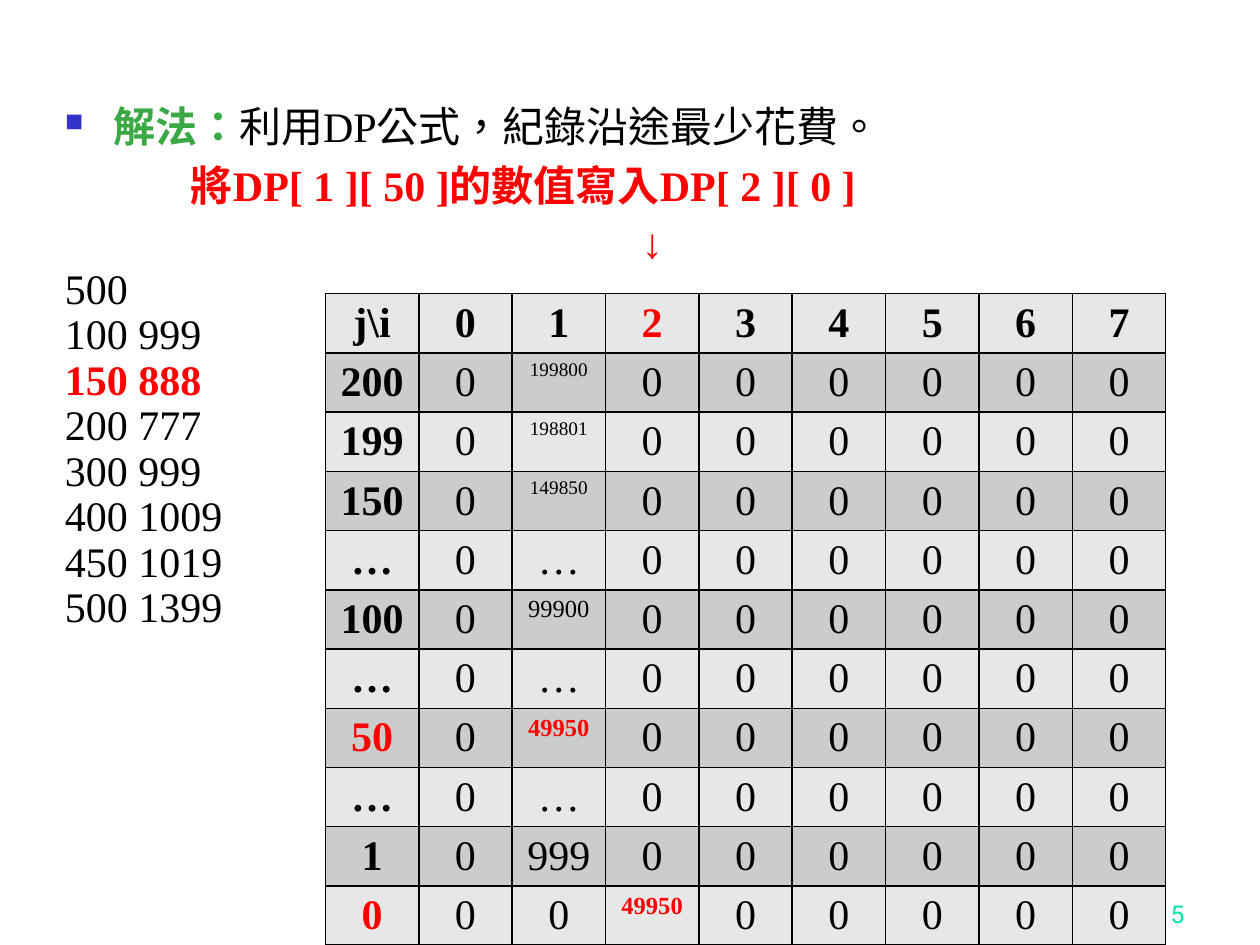
from lxml import etree
from pptx import Presentation
from pptx.dml.color import RGBColor
from pptx.enum.text import MSO_ANCHOR as Anchor, PP_ALIGN as Align
from pptx.oxml.ns import qn
from pptx.util import Cm, Pt

COLORS = {
    "black": "000000", "red": "FF0000", "green": "3BA943", "bullet": "3333CC",
    "number": "00E4A8", "light": "E7E7E7", "dark": "CCCCCC",
}
SERIF = "Times New Roman"

# Each heading line: left indent (cm), space before (pt), runs of (text, color, bold)
HEADING = [
    (0.97, 0, [("解法：", "green", True),
               ("利用DP公式，紀錄沿途最少花費。", "black", False)]),
    (2.54, 4.8, [("將DP[ 1 ][ 50 ]的數值寫入DP[ 2 ][ 0 ]", "red", True)]),
    (11.63, 3.5, [("↓", "red", False)]),
]
INPUT_LINES = ["500", "100 999", "150 888", "200 777", "300 999",
               "400 1009", "450 1019", "500 1399"]
CURRENT_LINE = "150 888"

# Row label and the known costs by column; every other cell is 0
COLUMN_LABELS = ["j\\i"] + [str(item) for item in range(8)]
TABLE_ROWS = [
    ("200", {2: "199800"}), ("199", {2: "198801"}), ("150", {2: "149850"}),
    ("…", {2: "…"}), ("100", {2: "99900"}), ("…", {2: "…"}),
    ("50", {2: "49950"}), ("…", {2: "…"}), ("1", {2: "999"}), ("0", {3: "49950"}),
]
RED_CELLS = {(0, 3), (7, 0), (7, 2), (10, 0), (10, 3)}
SMALL_SIZES = {5: 14, 6: 11}  # text length: points


def format_font(font, color, size=24, bold=False, name=SERIF):
    font.name = name
    font.size = Pt(size)
    font.bold = bold
    font.color.rgb = RGBColor.from_string(COLORS[color])


def add_text_box(slide, left, top, width, height):
    frame = slide.shapes.add_textbox(Cm(left), Cm(top), Cm(width), Cm(height)).text_frame
    frame.word_wrap = True
    return frame


def add_bullet(paragraph, hanging):
    properties = paragraph._p.get_or_add_pPr()
    properties.set("indent", str(-Cm(hanging)))
    color = etree.SubElement(properties, qn("a:buClr"))
    etree.SubElement(color, qn("a:srgbClr"), val=COLORS["bullet"])
    etree.SubElement(properties, qn("a:buSzPct"), val="60000")
    etree.SubElement(properties, qn("a:buChar"), char="■")


def add_explanation(slide):
    frame = add_text_box(slide, 1.06, 1.9, 22.43, 15.62)
    for index, (indent, space, runs) in enumerate(HEADING):
        paragraph = frame.paragraphs[0] if index == 0 else frame.add_paragraph()
        paragraph._p.get_or_add_pPr().set("marL", str(Cm(indent)))
        if index == 0:
            add_bullet(paragraph, indent)
        paragraph.line_spacing = Pt(29)
        paragraph.space_before = Pt(space)
        for text, color, bold in runs:
            run = paragraph.add_run()
            run.text = text
            format_font(run.font, color, bold=bold)
            # Traditional Chinese centres the full-width punctuation
            run._r.get_or_add_rPr().set("lang", "zh-TW")
    for line in INPUT_LINES:
        paragraph = frame.add_paragraph()
        paragraph.text = line
        paragraph.line_spacing = Pt(26)
        current = line == CURRENT_LINE
        format_font(paragraph.runs[0].font, "red" if current else "black", bold=current)


def add_borders(cell):
    properties = cell._tc.get_or_add_tcPr()
    for position, side in enumerate(("a:lnL", "a:lnR", "a:lnT", "a:lnB")):
        line = etree.Element(qn(side), w=str(Pt(1)))
        fill = etree.SubElement(line, qn("a:solidFill"))
        etree.SubElement(fill, qn("a:srgbClr"), val=COLORS["black"])
        properties.insert(position, line)


def add_cost_table(slide):
    grid = [COLUMN_LABELS]
    for label, costs in TABLE_ROWS:
        grid.append([label] + [costs.get(column, "0")
                               for column in range(1, len(COLUMN_LABELS))])
    table = slide.shapes.add_table(len(grid), len(COLUMN_LABELS), Cm(6.56), Cm(5.92),
                                   Cm(16.94), Cm(11.33)).table
    for row_index, values in enumerate(grid):
        for column, text in enumerate(values):
            cell = table.cell(row_index, column)
            cell.margin_bottom = Cm(0.05)
            cell.fill.solid()
            shade = "dark" if row_index % 2 else "light"
            cell.fill.fore_color.rgb = RGBColor.from_string(COLORS[shade])
            add_borders(cell)
            paragraph = cell.text_frame.paragraphs[0]
            paragraph.text = text
            paragraph.alignment = Align.CENTER
            red = (row_index, column) in RED_CELLS
            format_font(paragraph.runs[0].font, "red" if red else "black",
                        SMALL_SIZES.get(len(text), 24),
                        red or row_index == 0 or column == 0)


def add_slide_number(slide):
    frame = add_text_box(slide, 18.85, 17.58, 5.28, 1.27)
    frame.vertical_anchor = Anchor.BOTTOM
    frame.text = "15"
    paragraph = frame.paragraphs[0]
    paragraph.alignment = Align.RIGHT
    format_font(paragraph.runs[0].font, "number", 14, name="Roboto")


def main():
    presentation = Presentation()
    presentation.slide_width, presentation.slide_height = Cm(25.4), Cm(19.05)
    slide = presentation.slides.add_slide(presentation.slide_layouts[6])
    add_slide_number(slide)
    add_explanation(slide)
    add_cost_table(slide)
    presentation.save("out.pptx")


if __name__ == "__main__":
    main()
